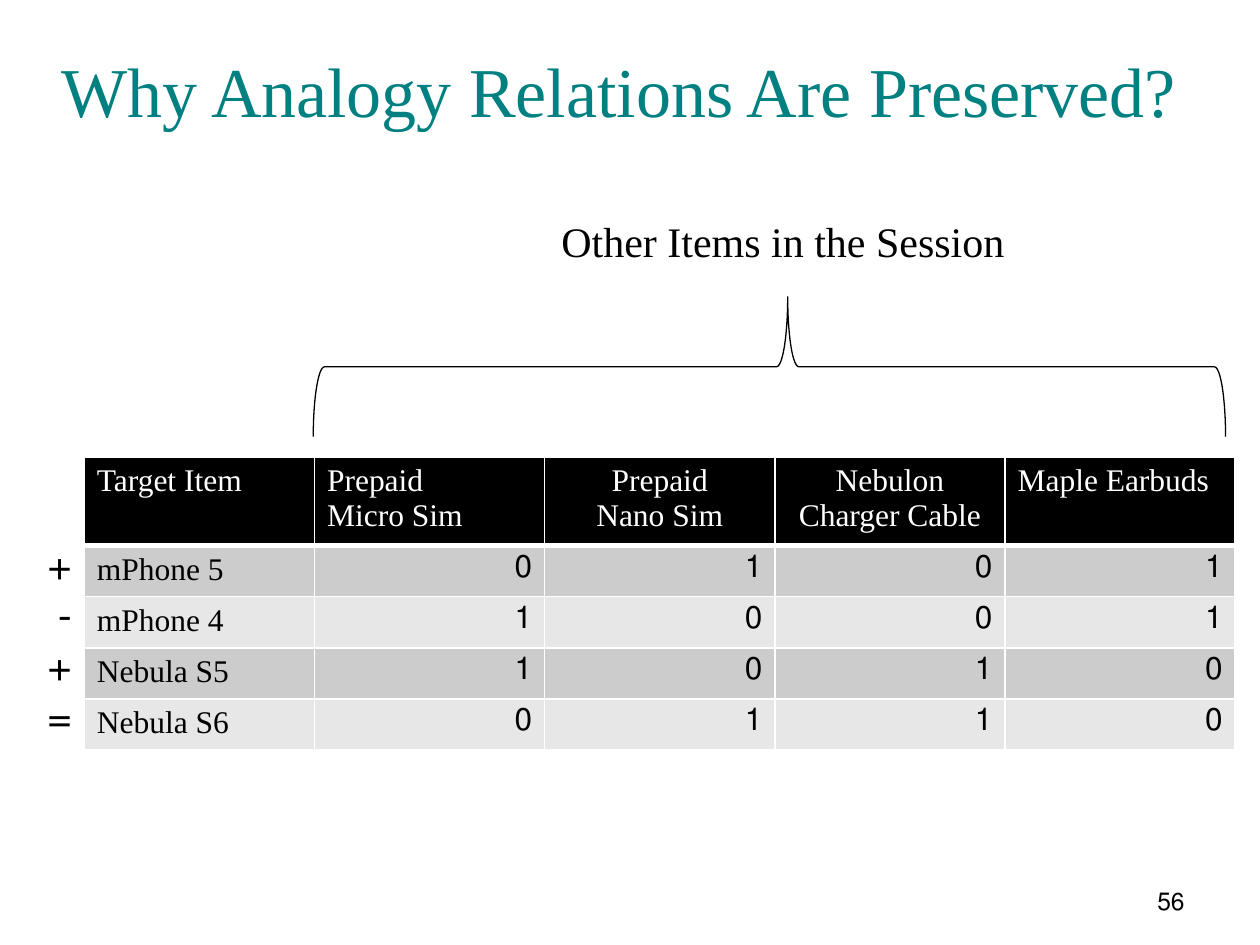
from lxml import etree
from pptx import Presentation
from pptx.dml.color import RGBColor
from pptx.enum.shapes import MSO_SHAPE
from pptx.enum.text import MSO_ANCHOR, PP_ALIGN
from pptx.oxml.ns import qn
from pptx.util import Cm, Pt

LEFT, CENTER, RIGHT = PP_ALIGN.LEFT, PP_ALIGN.CENTER, PP_ALIGN.RIGHT
TOP, MIDDLE = MSO_ANCHOR.TOP, MSO_ANCHOR.MIDDLE
LEFT_BRACE = MSO_SHAPE.LEFT_BRACE

FONT = "Times New Roman"
TEAL = RGBColor(0x00, 0x80, 0x80)
BLACK = RGBColor(0x00, 0x00, 0x00)
WHITE = RGBColor(0xFF, 0xFF, 0xFF)
BANDS = (RGBColor(0xCC, 0xCC, 0xCC), RGBColor(0xE7, 0xE7, 0xE7))

HEADERS = (
    ("Target Item", LEFT),
    ("Prepaid\nMicro Sim", LEFT),
    ("Prepaid\nNano Sim", CENTER),
    ("Nebulon Charger Cable", CENTER),
    ("Maple Earbuds", LEFT),
)
ITEMS = (
    ("mPhone 5", (0, 1, 0, 1)),
    ("mPhone 4", (1, 0, 0, 1)),
    ("Nebula S5", (1, 0, 1, 0)),
    ("Nebula S6", (0, 1, 1, 0)),
)
SIGNS = "+\n-\n+\n="


def style_text(tf, size, color, align, rtl=False):
    for p in tf.paragraphs:
        if rtl:
            p._p.get_or_add_pPr().set("rtl", "1")
        p.alignment = align
        p.font.name = FONT
        p.font.size = Pt(size)
        p.font.color.rgb = color


def add_text(slide, box, text, size, color=BLACK, align=CENTER, anchor=TOP, rtl=False):
    tf = slide.shapes.add_textbox(*map(Cm, box)).text_frame
    tf.word_wrap = True
    tf.vertical_anchor = anchor
    tf.text = text
    style_text(tf, size, color, align, rtl)


def add_brace(slide):
    s = slide.shapes.add_shape(LEFT_BRACE, Cm(14.1), Cm(-1.8), Cm(2.82), Cm(18.39))
    s.rotation = 90
    s.adjustments[0] = 0.08
    s.adjustments[1] = 0.48
    s.shadow.inherit = False
    s.fill.background()
    s.line.color.rgb = BLACK
    s.line.width = Pt(0.75)


def set_borders(cell, bottom):
    tc_pr = cell._tc.get_or_add_tcPr()
    for side, width in (("L", 1), ("R", 1), ("T", 1), ("B", bottom)):
        ln = etree.SubElement(tc_pr, qn(f"a:ln{side}"), w=str(Pt(width)))
        fill = etree.SubElement(ln, qn("a:solidFill"))
        etree.SubElement(fill, qn("a:srgbClr"), val=str(WHITE))


def fill_cell(cell, text, fill, color, align, rtl=False, bottom=1):
    set_borders(cell, bottom)
    cell.fill.solid()
    cell.fill.fore_color.rgb = fill
    cell.text = text
    style_text(cell.text_frame, 18, color, align, rtl)


def add_item_table(slide):
    rows, cols = len(ITEMS) + 1, len(HEADERS)
    table = slide.shapes.add_table(
        rows, cols, Cm(1.7), Cm(9.22), Cm(23.2), Cm(5.78)).table
    table.first_row = table.horz_banding = False
    for column in table.columns:
        column.width = Cm(4.64)
    for i, row in enumerate(table.rows):
        row.height = Cm(1.03 if i else 1.66)
    for c, (text, align) in enumerate(HEADERS):
        fill_cell(table.cell(0, c), text, BLACK, WHITE, align, bottom=3)
    for r, (item, values) in enumerate(ITEMS, 1):
        band = BANDS[(r - 1) % 2]
        fill_cell(table.cell(r, 0), item, band, BLACK, LEFT)
        for c, value in enumerate(values, 1):
            fill_cell(table.cell(r, c), str(value), band, BLACK, RIGHT, rtl=True)


def main():
    """Build the slide on item co-occurrence and save it."""
    prs = Presentation()
    prs.slide_width, prs.slide_height = Cm(25.4), Cm(19.05)
    slide = prs.slides.add_slide(prs.slide_layouts[6])
    add_text(slide, (0.64, 0.43, 23.67, 2.74),
             "Why Analogy Relations Are Preserved?", 40, TEAL, anchor=MIDDLE)
    add_item_table(slide)
    add_text(slide, (18.85, 17.73, 5.28, 1.27), "56", 14, align=RIGHT, rtl=True)
    add_brace(slide)
    add_text(slide, (10.49, 4.22, 10.59, 1.27), "Other Items in the Session", 24)
    add_text(slide, (0, 10.72, 1.7, 4.37), SIGNS, 24, align=RIGHT, rtl=True)
    prs.save("out.pptx")


if __name__ == "__main__":
    main()
